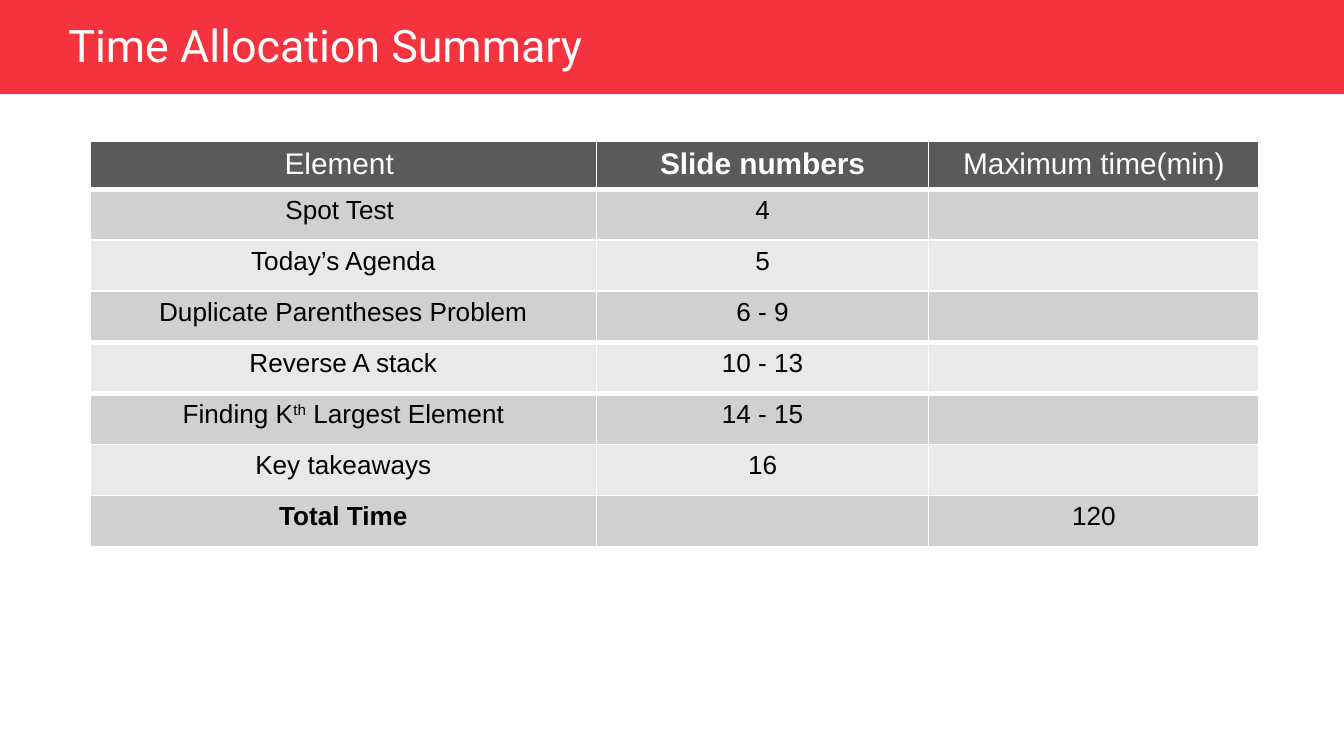
from pptx import Presentation
from pptx.dml.color import RGBColor as RGB
from pptx.enum.shapes import MSO_SHAPE as Shape
from pptx.enum.text import MSO_ANCHOR as Anchor, PP_ALIGN as Align
from pptx.oxml.xmlchemy import OxmlElement as Element
from pptx.util import Inches, Pt

COLORS = {"banner": "F4333F", "header": "5A5A59", "dark": "D0D0D0",
          "light": "E9E9E9", "white": "FFFFFF", "black": "000000"}
FORMATS = {
    "title": {"name": "Roboto", "size": Pt(24), "bold": False},
    "header": {"name": "Arial", "size": Pt(16), "bold": False},
    "header_bold": {"name": "Arial", "size": Pt(16), "bold": True},
    "body": {"name": "Arial", "size": Pt(14), "bold": False},
    "body_bold": {"name": "Arial", "size": Pt(14), "bold": True},
}
COLUMN_WIDTHS = [3.77, 2.47, 2.46]
HEADER_HEIGHT, ROW_HEIGHT = 0.35, 0.38
THICK_RULES_BELOW = {0, 3, 4}
SCHEDULE = [
    ["Element ", "Slide numbers", "Maximum time(min)"],
    ["Spot Test ", "4", ""],
    ["Today’s Agenda", "5", ""],
    ["Duplicate Parentheses Problem", "6 - 9", ""],
    ["Reverse A stack", "10 - 13", ""],
    ["Finding K^th^ Largest Element", "14 - 15", ""],
    ["Key takeaways", "16", ""],
    ["Total Time", "", "120"],
]
BOLD_LABELS = {"Slide numbers", "Total Time"}


class SlideBuilder:
    def __init__(self, slide):
        self.slide = slide

    def style(self, font, format_name, color):
        for attribute, value in FORMATS[format_name].items():
            setattr(font, attribute, value)
        font.color.rgb = RGB.from_string(COLORS[color])

    def paint(self, fill, color):
        fill.solid()
        fill.fore_color.rgb = RGB.from_string(COLORS[color])

    def banner(self, left, top, width, height):
        band = self.slide.shapes.add_shape(
            Shape.RECTANGLE, *map(Inches, (left, top, width, height)))
        band.shadow.inherit = False
        self.paint(band.fill, "banner")
        band.line.fill.background()

    def title(self, text, left, top, width, height):
        box = self.slide.shapes.add_textbox(*map(Inches, (left, top, width, height)))
        frame = box.text_frame
        frame.word_wrap = True
        frame.vertical_anchor = Anchor.MIDDLE
        heading = frame.paragraphs[0]
        heading.space_before = Pt(10)
        run = heading.add_run()
        run.text = text
        self.style(run.font, "title", "white")

    def border(self, cell, side, points):
        line = Element(f"a:ln{side}")
        line.set("w", str(Pt(points)))
        fill = Element("a:solidFill")
        color = Element("a:srgbClr")
        color.set("val", COLORS["white"])
        fill.append(color)
        line.append(fill)
        cell._tc.get_or_add_tcPr().append(line)

    def cell(self, cell, text, row):
        widths = {"L": 1, "R": 1,
                  "T": 3 if row - 1 in THICK_RULES_BELOW else 1,
                  "B": 3 if row in THICK_RULES_BELOW else 1}
        for side, points in widths.items():
            self.border(cell, side, points)
        self.paint(cell.fill, "header" if row == 0 else "dark" if row % 2 else "light")
        cell.margin_bottom = Inches(0.04)
        role = "header" if row == 0 else "body"
        format_name = f"{role}_bold" if text in BOLD_LABELS else role
        color = "white" if row == 0 else "black"
        paragraph = cell.text_frame.paragraphs[0]
        paragraph.alignment = Align.CENTER
        if not text:
            self.style(paragraph.font, format_name, color)
            return
        for index, part in enumerate(text.split("^")):
            run = paragraph.add_run()
            run.text = part
            self.style(run.font, format_name, color)
            if index % 2:
                run.font._element.set("baseline", "30000")

    def table(self, rows, left, top):
        heights = [HEADER_HEIGHT] + [ROW_HEIGHT] * (len(rows) - 1)
        table = self.slide.shapes.add_table(
            len(rows), len(COLUMN_WIDTHS), Inches(left), Inches(top),
            Inches(sum(COLUMN_WIDTHS)), Inches(sum(heights))).table
        for column, width in zip(table.columns, COLUMN_WIDTHS):
            column.width = Inches(width)
        for row, (labels, height) in enumerate(zip(rows, heights)):
            table.rows[row].height = Inches(height)
            for column, label in enumerate(labels):
                self.cell(table.cell(row, column), label, row)


def main():
    deck = Presentation()
    deck.slide_width = Inches(10)
    deck.slide_height = deck.slide_width * 9 // 16
    builder = SlideBuilder(deck.slides.add_slide(deck.slide_layouts[6]))
    builder.banner(0, 0, 10, 0.7)
    builder.title("Time Allocation Summary", 0.41, -0.1, 6.68, 0.86)
    builder.table(SCHEDULE, 0.67, 1.05)
    deck.save("out.pptx")


if __name__ == "__main__":
    main()
